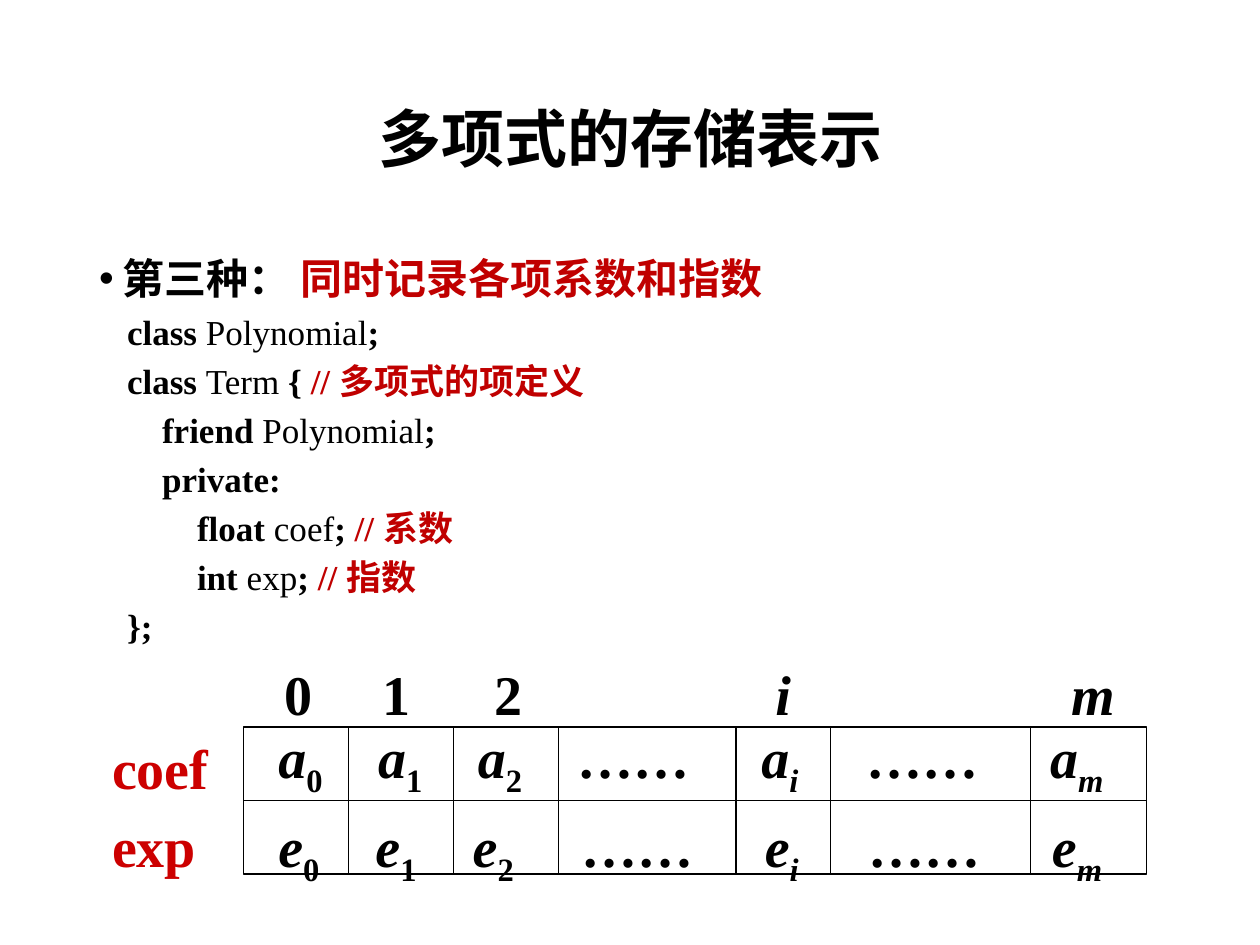
from itertools import accumulate

from lxml import etree
from pptx import Presentation
from pptx import util as u
from pptx.dml import color as dml
from pptx.enum import shapes, text
from pptx.oxml import ns

SANS, SERIF = "Noto Sans CJK SC", "Times New Roman"
BLACK, RED, CRIMSON = "000000", "C00000", "CC0000"


def paint(fmt, tone):
    """Apply a hex colour to a font or line."""
    fmt.color.rgb = dml.RGBColor.from_string(tone)


def place(shape, *box):
    """Set left, top, width and height in points."""
    for name, val in zip(("left", "top", "width", "height"), box):
        setattr(shape, name, u.Pt(val))


def sub(parent, tag, **attrs):
    """Append a drawing element with attributes."""
    node = etree.SubElement(parent, ns.qn(tag))
    for name, val in attrs.items():
        node.set(name, str(val))


def add_run(para, words, size, face=SERIF, tone=BLACK, bold=True, italic=False, low=False):
    """Add one formatted run."""
    run = para.add_run()
    run.text = words
    form = {"size": u.Pt(size), "name": face, "bold": bold, "italic": italic}
    for name, val in form.items():
        setattr(run.font, name, val)
    paint(run.font, tone)
    props = run.font._element
    sub(props, "a:ea", typeface=SANS)
    if low:
        props.set("baseline", "-25000")


def add_para(frame, first, **form):
    """Return the first or a new paragraph, formatted."""
    para = frame.paragraphs[0] if first else frame.add_paragraph()
    for name, val in form.items():
        setattr(para, name, val)
    return para


def set_indent(para, left, hang=0):
    """Set the left margin and first-line indent in points."""
    props = para._p.get_or_add_pPr()
    props.set("marL", str(u.Pt(left)))
    props.set("indent", str(u.Pt(hang)))


def add_text(slide, box, size, rows):
    """Add a text box from rows of indent and runs."""
    frame = slide.shapes.add_textbox(*map(u.Pt, box)).text_frame
    frame.word_wrap = True
    for num, (indent, runs) in enumerate(rows):
        para = add_para(frame, num == 0, space_before=u.Pt(size * 0.2))
        set_indent(para, indent)
        for words, form in runs:
            add_run(para, words, size, **form)


def add_rule(slide, start, end):
    """Add a thin black connector."""
    rule = slide.shapes.add_connector(
        shapes.MSO_CONNECTOR.STRAIGHT, *map(u.Pt, start + end))
    rule.line.width = u.Pt(0.75)
    paint(rule.line, BLACK)
    sub(rule._element.spPr, "a:effectLst")
    return rule


def add_grid(slide, left, top, width, height, cols):
    """Draw the two-row array frame."""
    rect = slide.shapes.add_shape(
        shapes.MSO_SHAPE.RECTANGLE, *map(u.Pt, (left, top, width, height)))
    rect.shadow.inherit = False
    rect.fill.background()
    rect.line.width = u.Pt(0.75)
    paint(rect.line, BLACK)
    for col in accumulate(cols):
        add_rule(slide, (left + col, top), (left + col, top + height))
    mid = top + height / 2
    rule = add_rule(slide, (left, mid), (left + width, mid))
    rule.begin_connect(rect, 1)
    rule.end_connect(rect, 3)


def add_cells(slide, top, spots, keys, name=""):
    """Add a row of array entries, subscripted when a name is given."""
    for left, key in zip(spots, keys):
        form = {"italic": key.isalpha()}
        if name and key != "……":
            runs = [(name, {"italic": True}), (key, {**form, "low": True})]
        else:
            runs = [(key, form)]
        add_text(slide, (left, top, 80, 46), 32, [(0, runs)])


def add_heads(slide):
    """Fill the title and the bullet."""
    title, body = slide.shapes.title, slide.placeholders[1]
    place(title, 49.5, 29, 621, 104)
    place(body, 49.5, 144, 621, 343)
    for shape in (title, body):
        shape.text_frame.auto_size = text.MSO_AUTO_SIZE.NONE
    title.text_frame.vertical_anchor = text.MSO_ANCHOR.MIDDLE
    para = add_para(title.text_frame, True, line_spacing=0.9,
                    alignment=text.PP_ALIGN.CENTER)
    add_run(para, "多项式的存储表示", 36, SANS)
    para = add_para(body.text_frame, True, line_spacing=0.9, space_before=u.Pt(7.5))
    set_indent(para, 13.5, -13.5)
    sub(para._p.get_or_add_pPr(), "a:buChar", char="•")
    add_run(para, "第三种： ", 24, SANS)
    add_run(para, "同时记录各项系数和指数", 24, SANS, RED)


def add_code(slide):
    """Add the class listing."""
    lines = [
        (0, "class ", "Polynomial", ";", ""),
        (0, "class ", "Term ", "{ ", "// 多项式的项定义"),
        (20, "friend ", "Polynomial", ";", ""),
        (20, "private:", "", "", ""),
        (40, "float ", "coef", "; ", "// 系数"),
        (40, "int ", "exp", "; ", "// 指数"),
        (0, "};", "", "", ""),
    ]
    forms = ({}, {"bold": False}, {}, {"tone": RED})
    rows = [(indent, [pair for pair in zip(parts, forms) if pair[0]])
            for indent, *parts in lines]
    add_text(slide, (65.5, 174, 605.5, 206), 20, rows)


def add_array(slide):
    """Add the array with its labels and indices."""
    add_grid(slide, 139, 415.5, 516, 84, (60, 60, 60, 101.5, 54, 114.5))
    keys = ("0", "1", "2", "……", "i", "……", "m")
    add_cells(slide, 409.5, (152, 209, 266, 323, 428, 488, 593), keys, "a")
    add_cells(slide, 460, (152, 207.5, 263, 325.5, 430, 489, 594), keys, "e")
    add_cells(slide, 373.5, (155.5, 211.5, 275.5, 436, 605), ("0", "1", "2", "i", "m"))
    add_text(slide, (57, 415.5, 80, 93), 32, [
        (0, [(name, {"tone": CRIMSON})]) for name in ("coef", "exp")])


def main():
    """Build and save the slide."""
    deck = Presentation()
    deck.slide_width, deck.slide_height = u.Pt(720), u.Pt(540)
    slide = deck.slides.add_slide(deck.slide_layouts[1])
    add_heads(slide)
    add_code(slide)
    add_array(slide)
    deck.save("out.pptx")


if __name__ == "__main__":
    main()
